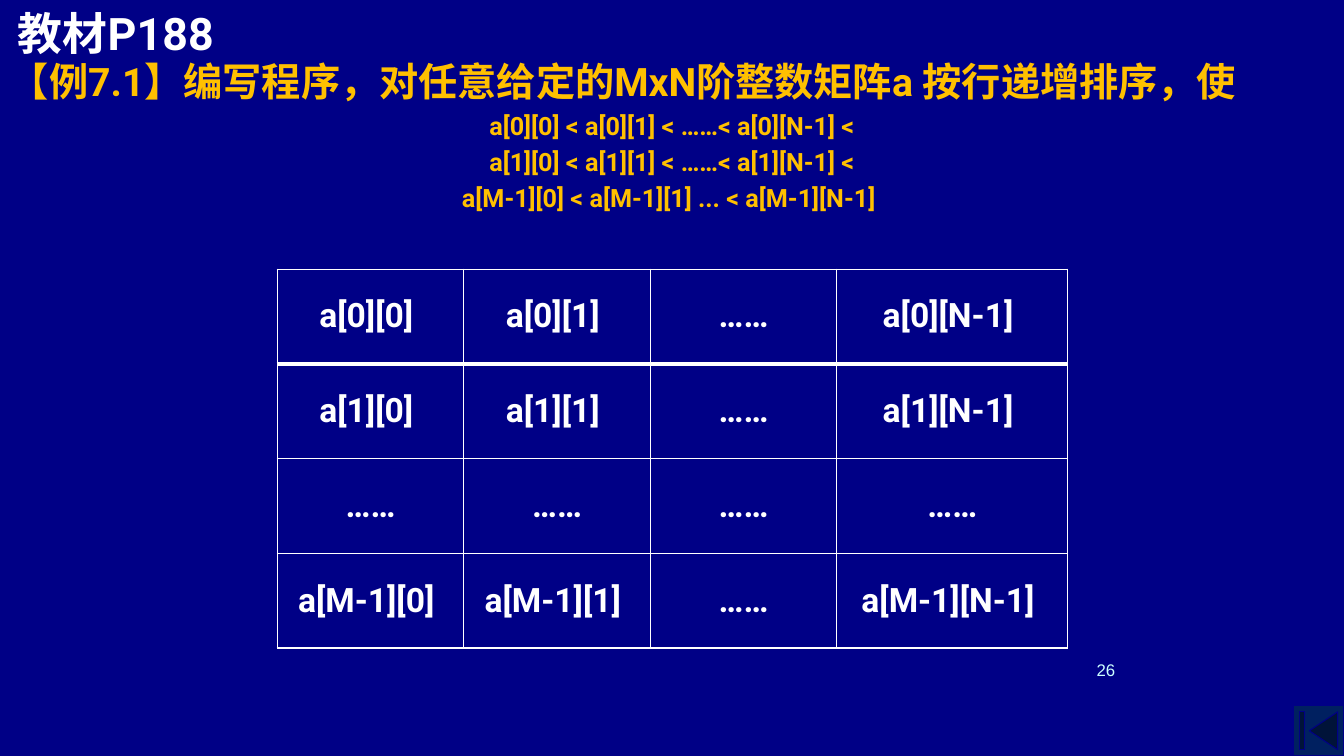
from dataclasses import dataclass

from lxml import etree
from pptx import Presentation
from pptx.dml.color import RGBColor
from pptx.enum import shapes, text
from pptx.oxml import ns
from pptx.util import Inches, Pt

HUES = {"back": "000086", "navy": "002060", "white": "FFFFFF",
        "gold": "FFC000", "pale": "CCFFFF"}
LEFT, MID, RIGHT = text.PP_ALIGN.LEFT, text.PP_ALIGN.CENTER, text.PP_ALIGN.RIGHT
DOTS = "……"
ROWS = [[f"a[{i}][{j}] " if DOTS not in (i, j) else DOTS
         for j in ("0", "1", DOTS, "N-1")] for i in ("0", "1", DOTS, "M-1")]
WIDTHS = (1.85, 1.85, 1.85, 2.29)
TALL = 0.94


@dataclass
class Line:
    words: str
    size: float
    hue: str
    align: text.PP_ALIGN = LEFT
    face: str = "Roboto"
    bold: bool = True


@dataclass
class Box:
    left: float
    top: float
    width: float
    height: float
    lines: list[Line]
    wrap: bool = True
    anchor: text.MSO_ANCHOR = text.MSO_ANCHOR.TOP


ORDER = ["a[0][0] < a[0][1] < ……< a[0][N-1] <",
         "a[1][0] < a[1][1] < ……< a[1][N-1] <",
         "a[M-1][0] < a[M-1][1] ... < a[M-1][N-1] "]
TASK = "【例7.1】编写程序，对任意给定的MxN阶整数矩阵a 按行递增排序，使"
BOXES = [
    Box(8.83, 6.29, 2.33, 0.5, [Line("26", 12, "pale", RIGHT, "Arial", False)],
        anchor=text.MSO_ANCHOR.BOTTOM),
    Box(0, 0.52, 13.33, 1.66, [Line(TASK, 28, "gold")]
        + [Line(words, 18, "gold", MID) for words in ORDER]),
    Box(0.08, 0.01, 2.25, 0.64, [Line("教材P188", 32, "white")], wrap=False),
]


def color(hue: str) -> RGBColor:
    return RGBColor.from_string(HUES[hue])


def write(frame, lines: list[Line]) -> None:
    for n, line in enumerate(lines):
        para = frame.add_paragraph() if n else frame.paragraphs[0]
        para.text = line.words
        para.alignment = line.align
        if n:
            para.space_before = Pt(line.size * 0.23)
        font = para.font
        font.name, font.size, font.bold = line.face, Pt(line.size), line.bold
        font.color.rgb = color(line.hue)


def add_box(slide, box: Box) -> None:
    place = map(Inches, (box.left, box.top, box.width, box.height))
    frame = slide.shapes.add_textbox(*place).text_frame
    frame.word_wrap = box.wrap
    frame.vertical_anchor = box.anchor
    write(frame, box.lines)


def edge(cell, side: str, width: float) -> None:
    """Draw one white border; side is L, R, T or B."""
    props = cell._tc.get_or_add_tcPr()
    rule = etree.SubElement(props, ns.qn(f"a:ln{side}"), w=str(Pt(width)))
    fill = etree.SubElement(rule, ns.qn("a:solidFill"))
    etree.SubElement(fill, ns.qn("a:srgbClr"), val=HUES["white"])


def add_grid(slide) -> None:
    place = map(Inches, (2.75, 2.67, sum(WIDTHS), TALL * len(ROWS)))
    grid = slide.shapes.add_table(len(ROWS), len(WIDTHS), *place).table
    grid.first_row = grid.horz_banding = False
    for col, width in zip(grid.columns, WIDTHS):
        col.width = Inches(width)
    for r, row in enumerate(ROWS):
        grid.rows[r].height = Inches(TALL)
        for c, words in enumerate(row):
            cell = grid.cell(r, c)
            cell.vertical_anchor = text.MSO_ANCHOR.MIDDLE
            write(cell.text_frame, [Line(words, 24, "white", MID)])
            for side in "LRTB":
                thick = (r, side) in ((0, "B"), (1, "T"))
                edge(cell, side, 3 if thick else 1)
            cell.fill.background()


def add_button(slide) -> None:
    kind = shapes.MSO_SHAPE.ACTION_BUTTON_BEGINNING
    button = slide.shapes.add_shape(kind, *map(Inches, (12.83, 7, 0.5, 0.5)))
    button.shadow.inherit = False
    button.fill.solid()
    button.fill.fore_color.rgb = color("navy")
    button.line.color.rgb = color("back")
    button.line.width = Pt(0.75)


def main() -> None:
    deck = Presentation()
    deck.slide_width, deck.slide_height = Inches(13.33), Inches(7.5)
    slide = deck.slides.add_slide(deck.slide_layouts[6])
    slide.background.fill.solid()
    slide.background.fill.fore_color.rgb = color("back")
    add_button(slide)
    for box in BOXES[:2]:
        add_box(slide, box)
    add_grid(slide)
    add_box(slide, BOXES[2])
    deck.save("out.pptx")


if __name__ == "__main__":
    main()
